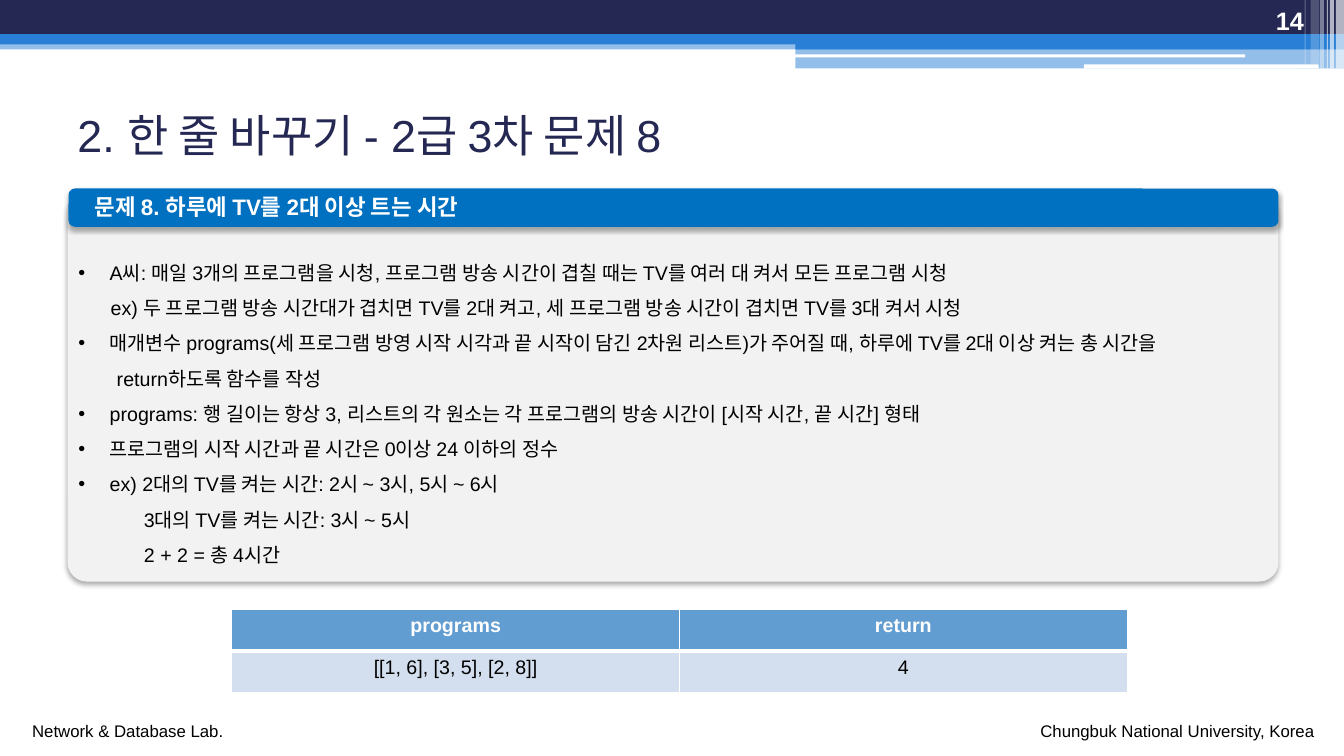
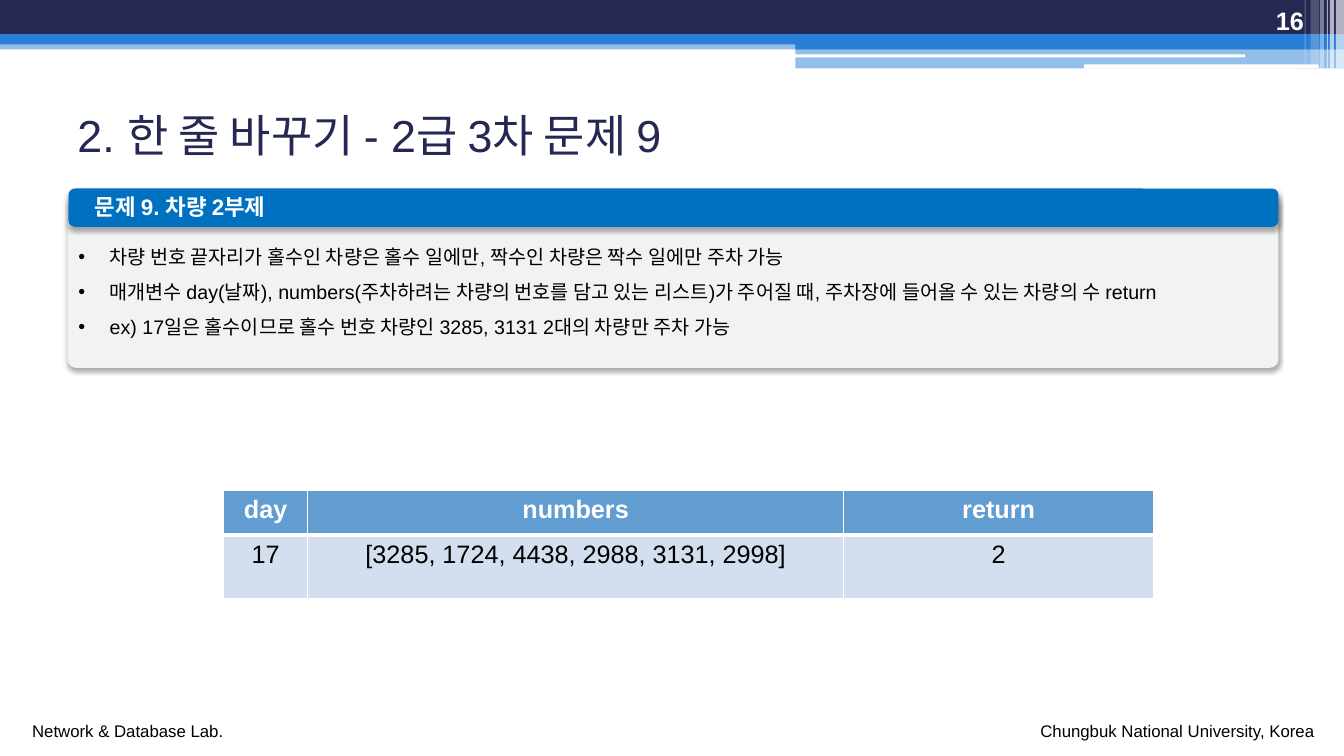
from lxml import etree
from pptx import Presentation
from pptx.dml.color import RGBColor
from pptx.enum.shapes import MSO_SHAPE
from pptx.enum.text import MSO_ANCHOR, PP_ALIGN
from pptx.oxml.ns import qn
from pptx.util import Pt

PX = 9144
RECT, ROUND = MSO_SHAPE.RECTANGLE, MSO_SHAPE.ROUNDED_RECTANGLE
TOP, MID, BASE = MSO_ANCHOR.TOP, MSO_ANCHOR.MIDDLE, MSO_ANCHOR.BOTTOM
LEFT, MIDST, RIGHT = PP_ALIGN.LEFT, PP_ALIGN.CENTER, PP_ALIGN.RIGHT

FONT = "Arial"
NAVY, BLUE, WHITE, BLACK = "242852", "297FD5", "FFFFFF", "000000"
PANEL, BANNER, HEAD, CELL = "F2F2F2", "0070C0", "629DD1", "D3DFEE"

BANDS = [
    (RECT, 0, 40, 1333, 9, BLUE, 50),
    (RECT, 0, 0, 1333, 34, NAVY, 100),
    (RECT, 0, 34, 1333, 10, BLUE, 100),
    (RECT, 789, 39, 544, 10, BLUE, 100),
    (RECT, 789, 48, 544, 20, BLUE, 50),
    (ROUND, 788, 54, 447, 3, WHITE, 100),
    (ROUND, 1075, 64, 233, 4, WHITE, 100),
]
STRIPES = [
    (1325, 8, 68, 65), (1319, 4, 68, 65), (1316, 1, 68, 60),
    (1309, 4, 68, 40), (1300, 8, 64, 20), (1294, 1, 64, 30),
]
BULLET = 31


def px(*vals):
    return [round(v * PX) for v in vals]


def color(code):
    return RGBColor.from_string(code)


def child(node, tag, **attrs):
    return etree.SubElement(node, qn(tag), {k: str(v) for k, v in attrs.items()})


class Deck:
    def __init__(self):
        self.prs = Presentation()
        self.prs.slide_width, self.prs.slide_height = px(1333, 750)
        self.slide = None

    def page(self, title, number):
        self.slide = self.prs.slides.add_slide(self.prs.slide_layouts[6])
        for band in BANDS:
            self.shape(*band)
        for left, wide, high, alpha in STRIPES:
            self.shape(RECT, left, 0, wide, high, WHITE, alpha)
        self.text(22, 710, 211, 30, "Network & Database Lab.", 12, wrap=False)
        self.text(1022, 710, 294, 30, "Chungbuk National University, Korea", 12, wrap=False)
        self.text(67, 97, 1200, 74, title, 32, NAVY, anchor=MID)
        self.text(1192, 0, 111, 40, number, 18, WHITE, True, RIGHT, BASE)

    def shape(self, kind, left, top, wide, high, fill, alpha=100, round_by=None, shadow=False):
        item = self.slide.shapes.add_shape(kind, *px(left, top, wide, high))
        item.fill.solid()
        item.fill.fore_color.rgb = color(fill)
        props = item._element.spPr
        if alpha < 100:
            child(props.find(".//" + qn("a:srgbClr")), "a:alpha", val=alpha * 1000)
        item.line.fill.background()
        if round_by is not None:
            item.adjustments[0] = round_by
        item.shadow.inherit = False
        if shadow:
            outer = child(props.find(qn("a:effectLst")), "a:outerShdw", blurRad=Pt(3.5),
                          dist=Pt(2.2), dir=5400000, algn="t", rotWithShape=0)
            child(child(outer, "a:srgbClr", val=BLACK), "a:alpha", val=32000)

    def run(self, para, words, size, ink, bold=False):
        run = para.add_run()
        run.text = words
        font = run.font
        font.name, font.size, font.bold = FONT, Pt(size), bold
        font.color.rgb = color(ink)

    def frame(self, left, top, wide, high, anchor=TOP, wrap=True):
        frame = self.slide.shapes.add_textbox(*px(left, top, wide, high)).text_frame
        frame.word_wrap, frame.vertical_anchor = wrap, anchor
        return frame

    def text(self, left, top, wide, high, words, size, ink=BLACK, bold=False,
             align=LEFT, anchor=TOP, wrap=True):
        para = self.frame(left, top, wide, high, anchor, wrap).paragraphs[0]
        para.alignment = align
        self.run(para, words, size, ink, bold)

    def panel(self, title, high):
        self.shape(ROUND, 67, 193, 1201, high, PANEL, round_by=0.05, shadow=True)
        self.shape(ROUND, 68, 187, 1200, 38, BANNER, shadow=True)
        self.text(84, 187, 1181, 37, title, 16, WHITE, True)

    def notes(self, top, high, lines):
        frame = self.frame(68, top, 1206, high)
        for i, (indent, words) in enumerate(lines):
            para = frame.add_paragraph() if i else frame.paragraphs[0]
            para.line_spacing = 1.5
            props = para._p.get_or_add_pPr()
            props.set("marL", str(px(indent or BULLET)[0]))
            if not indent:
                props.set("indent", str(px(-BULLET)[0]))
                child(props, "a:buFont", typeface=FONT)
                child(props, "a:buChar", char="•")
            self.run(para, words, 14, BLACK)

    def border(self, cell, **sides):
        props = cell._tc.get_or_add_tcPr()
        for i, (side, width) in enumerate(sides.items()):
            line = child(props, "a:ln" + side, w=Pt(width))
            child(child(line, "a:solidFill"), "a:srgbClr", val=WHITE)
            props.insert(i, line)

    def table(self, left, top, cols, rows, size, data):
        grid = self.slide.shapes.add_table(
            len(rows), len(cols), *px(left, top, sum(cols), sum(rows))).table
        for col, wide in zip(grid.columns, px(*cols)):
            col.width = wide
        for r, (high, row) in enumerate(zip(px(*rows), data)):
            grid.rows[r].height = high
            first = r == 0
            for c, words in enumerate(row):
                cell = grid.cell(r, c)
                cell.fill.solid()
                cell.fill.fore_color.rgb = color(HEAD if first else CELL)
                self.border(cell, L=1, R=1, T=1 if first else 3, B=3 if first else 1)
                para = cell.text_frame.paragraphs[0]
                para.alignment = MIDST
                self.run(para, words, size, WHITE if first else BLACK, first)


def main():
    deck = Deck()

    deck.page("2. 한 줄 바꾸기 - 2급 3차 문제 8", "14")
    deck.panel("문제 8. 하루에 TV를 2대 이상 트는 시간", 384)
    deck.notes(242, 324, [
        (0, "A씨: 매일 3개의 프로그램을 시청, 프로그램 방송 시간이 겹칠 때는 TV를 여러 대 켜서 모든 프로그램 시청"),
        (32, "ex) 두 프로그램 방송 시간대가 겹치면 TV를 2대 켜고, 세 프로그램 방송 시간이 겹치면 TV를 3대 켜서 시청"),
        (0, "매개변수 programs(세 프로그램 방영 시작 시각과 끝 시작이 담긴 2차원 리스트)가 주어질 때, 하루에 TV를 2대 이상 켜는 총 시간을"),
        (38, "return하도록 함수를 작성"),
        (0, "programs: 행 길이는 항상 3, 리스트의 각 원소는 각 프로그램의 방송 시간이 [시작 시간, 끝 시간] 형태"),
        (0, "프로그램의 시작 시간과 끝 시간은 0이상 24 이하의 정수"),
        (0, "ex) 2대의 TV를 켜는 시간: 2시 ~ 3시, 5시 ~ 6시"),
        (65, "3대의 TV를 켜는 시간: 3시 ~ 5시"),
        (65, "2 + 2 = 총 4시간"),
    ])
    deck.table(230, 605, [444, 444], [41, 41], 14, [
        ["programs", "return"],
        ["[[1, 6], [3, 5], [2, 8]]", "4"],
    ])

    deck.page("2. 한 줄 바꾸기 - 2급 3차 문제 9", "16")
    deck.panel("문제 9. 차량 2부제", 172)
    deck.notes(226, 112, [
        (0, "차량 번호 끝자리가 홀수인 차량은 홀수 일에만, 짝수인 차량은 짝수 일에만 주차 가능"),
        (0, "매개변수 day(날짜), numbers(주차하려는 차량의 번호를 담고 있는 리스트)가 주어질 때, 주차장에 들어올 수 있는 차량의 수 return"),
        (0, "ex) 17일은 홀수이므로 홀수 번호 차량인 3285, 3131 2대의 차량만 주차 가능"),
    ])
    deck.table(222, 487, [83, 532, 307], [44, 63], 18, [
        ["day", "numbers", "return"],
        ["17", "[3285, 1724, 4438, 2988, 3131, 2998]", "2"],
    ])

    deck.prs.save("out.pptx")


if __name__ == "__main__":
    main()
